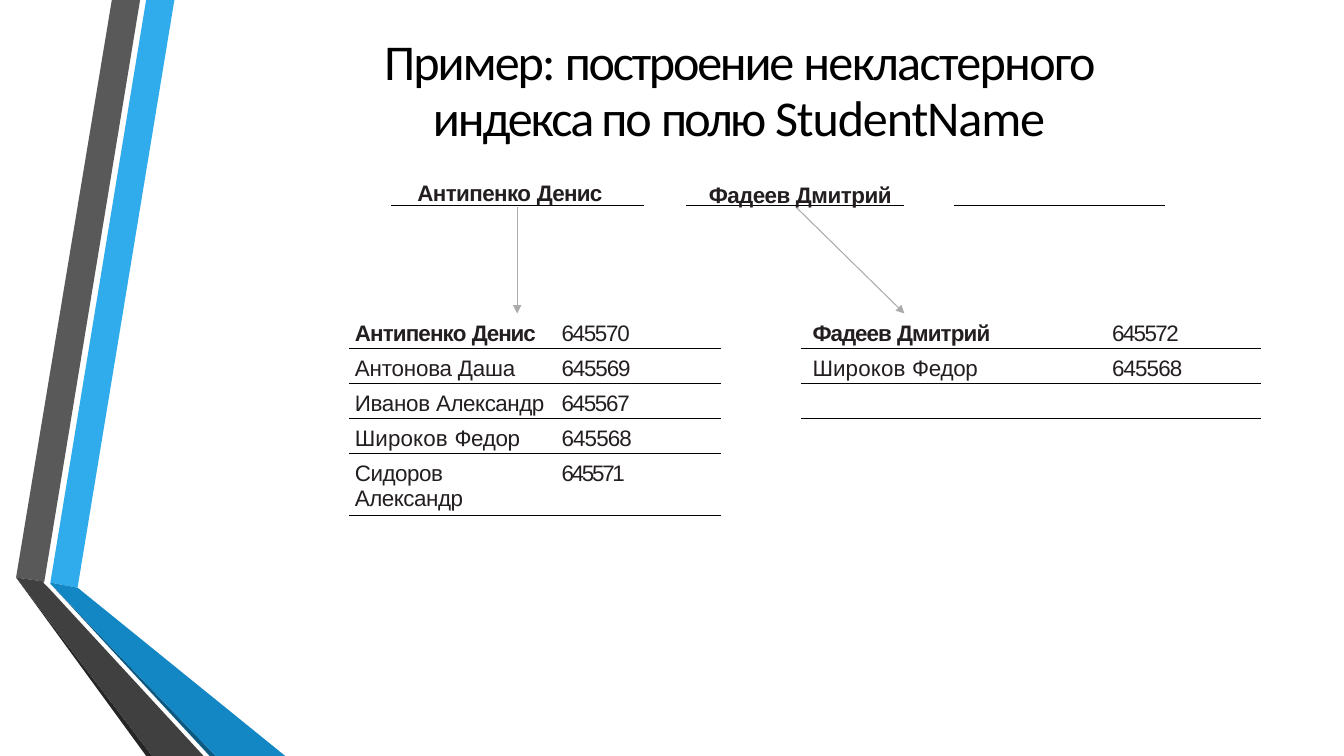
from dataclasses import dataclass
from itertools import product

from lxml.etree import SubElement
from pptx import Presentation
from pptx.dml.color import RGBColor
from pptx.enum.shapes import MSO_CONNECTOR
from pptx.enum.text import MSO_ANCHOR, MSO_AUTO_SIZE, PP_ALIGN
from pptx.oxml.ns import qn
from pptx.util import Inches, Pt

INK, RULE, ARROW = "231E20", "010202", "ABABAB"
PLAIN = {"name": "Arial", "size": Pt(16), "bold": False}
BOLD = PLAIN | {"bold": True}
HEAD = {"name": "Calibri", "size": Pt(35.8), "bold": False}
NO_STYLE = "{2D5ABB26-0587-4C30-8999-92F81FD0307C}"


@dataclass
class Word:
    text: str
    gap: float  # letter spacing in points


@dataclass
class Band:
    color: str
    points: list[tuple[float, float]]


@dataclass
class Line:
    start: tuple[float, float]
    end: tuple[float, float]
    color: str = RULE
    width: float = 0.82
    arrow: bool = False


@dataclass
class Label:
    left: float
    top: float
    width: float
    words: list[Word]


BANDS = [
    Band("30ACEC", [(0.5, 5.78), (0.77, 5.83), (1.73, 0), (1.45, 0)]),
    Band("595959", [(1.39, 0), (1.11, 0), (0.16, 5.73), (0.44, 5.77)]),
    Band("262626", [(0.16, 5.73), (1.45, 7.5), (1.51, 7.5)]),
    Band("0C5A82", [(0.5, 5.79), (2.08, 7.5), (2.14, 7.5)]),
    Band("1287C3", [(0.5, 5.79), (2.14, 7.5), (2.83, 7.5), (0.77, 5.83), (0.5, 5.78)]),
    Band("404040", [(2.02, 7.5), (0.48, 5.83), (0.43, 5.78), (0.44, 5.77),
                    (0.16, 5.73), (1.51, 7.5)]),
]
LINES = [
    Line((3.88, 2.04), (6.39, 2.04)),
    Line((6.8, 2.04), (8.97, 2.04)),
    Line((9.46, 2.04), (11.55, 2.04)),
    Line((5.13, 2.05), (5.13, 3.11), ARROW, 0.75, True),
    Line((7.89, 2.05), (8.97, 3.11), ARROW, 0.75, True),
]
LABELS = [
    Label(4.13, 1.77, 2, [Word("Антипенко ", -0.4), Word("Денис", -0.5)]),
    Label(7.02, 1.79, 2.59, [Word("Фадеев ", -0.4), Word("Дмитрий", -0.3)]),
]
TITLE = [Word("Пример: ", -1.4), Word("построение ", -1.6), Word("некластерного ", -1.2),
         Word("индекса по ", -1.5), Word("полю ", -1.9), Word("StudentName", -0.8)]

# Table columns: width, left indent, number of ruled rows
COLS = [(2.05, 0.06, 5), (1.64, 0.06, 5), (0.8, 0, 0), (2.75, 0.11, 3), (1.81, 0.33, 3)]
FEDOR = [Word("Широков ", 0.1), Word("Федор", -0.2)]
CELLS = {
    (0, 0): [Word("Антипенко ", -0.6), Word("Денис", -0.8)],
    (0, 1): [Word("645570", -0.9)],
    (0, 3): [Word("Фадеев ", -0.7), Word("Дмитрий", -0.6)],
    (0, 4): [Word("645572", -1.1)],
    (1, 0): [Word("Антонова Даша", -0.1)],
    (1, 1): [Word("645569", -0.8)],
    (1, 3): FEDOR,
    (1, 4): [Word("645568", -0.6)],
    (2, 0): [Word("Иванов ", -0.2), Word("Александр", -0.3)],
    (2, 1): [Word("645567", -0.9)],
    (3, 0): FEDOR,
    (3, 1): [Word("645568", -0.6)],
    (4, 0): [Word("Сидоров Александр", -0.3)],
    (4, 1): [Word("645571", -1.6)],
}


def rgb(code: str) -> RGBColor:
    return RGBColor.from_string(code)


def assign(item, values: dict) -> None:
    for name, value in values.items():
        setattr(item, name, value)


def margins(item, top: float) -> None:
    assign(item, {"margin_left": 0, "margin_right": 0, "margin_bottom": 0,
                  "margin_top": Inches(top)})


def write(frame, words: list[Word], style: dict, color: str,
          indent: float, before: float):
    para = frame.paragraphs[0]
    para.space_before = Pt(before)
    props = para._p.get_or_add_pPr()
    props.set("marL", str(Inches(indent)))
    props.set("indent", "0")
    for word in words:
        run = para.add_run()
        run.text = word.text
        assign(run.font, style)
        run.font.color.rgb = rgb(color)
        run._r.get_or_add_rPr().set("spc", str(round(word.gap * 100)))
    return para


def draw_band(shapes, band: Band) -> None:
    first, *rest = [(Inches(x), Inches(y)) for x, y in band.points]
    pen = shapes.build_freeform(*first)
    pen.add_line_segments(rest, close=True)
    shape = pen.convert_to_shape()
    shape.shadow.inherit = False
    shape.fill.solid()
    shape.fill.fore_color.rgb = rgb(band.color)
    shape.line.fill.background()


def draw_line(shapes, line: Line) -> None:
    ends = [Inches(v) for v in (*line.start, *line.end)]
    link = shapes.add_connector(MSO_CONNECTOR.STRAIGHT, *ends)
    link.line.color.rgb = rgb(line.color)
    link.line.width = Pt(line.width)
    if line.arrow:
        SubElement(link.line._get_or_add_ln(), qn("a:tailEnd"), type="triangle")
    SubElement(link._element.spPr, qn("a:effectLst"))


def draw_label(shapes, label: Label) -> None:
    box = shapes.add_textbox(Inches(label.left), Inches(label.top),
                             Inches(label.width), Inches(0.28))
    frame = box.text_frame
    margins(frame, 0.01)
    assign(frame, {"word_wrap": True, "auto_size": MSO_AUTO_SIZE.SHAPE_TO_FIT_TEXT})
    write(frame, label.words, BOLD, INK, 0.01, 0.6)


def rule_cell(cell) -> None:
    edge = SubElement(cell._tc.get_or_add_tcPr(), qn("a:lnB"), w=str(Pt(1)))
    fill = SubElement(edge, qn("a:solidFill"))
    SubElement(fill, qn("a:srgbClr"), val=RULE)


def draw_table(shapes) -> None:
    rows, high = 5, 0.33
    wide = sum(width for width, _, _ in COLS)
    table = shapes.add_table(rows, len(COLS), Inches(3.46), Inches(3.11),
                             Inches(wide), Inches(rows * high)).table
    assign(table, {"first_row": False, "horz_banding": False})
    table._tbl.tblPr.find(qn("a:tableStyleId")).text = NO_STYLE
    for col, (width, _, _) in zip(table.columns, COLS):
        col.width = Inches(width)
    for row in table.rows:
        row.height = Inches(high)
    for row, col in product(range(rows), range(len(COLS))):
        cell = table.cell(row, col)
        _, indent, ruled = COLS[col]
        words = CELLS.get((row, col), [])
        margins(cell, 0.08 if words else 0)
        if words:
            style = BOLD if row == 0 and col in (0, 3) else PLAIN
            write(cell.text_frame, words, style, INK, indent, 9.1)
        if row < ruled:
            rule_cell(cell)
        cell.fill.background()


def draw_title(title) -> None:
    assign(title, {"left": Inches(3.17), "top": Inches(0.26),
                   "width": Inches(8.31), "height": Inches(1.19)})
    frame = title.text_frame
    margins(frame, 0.06)
    assign(frame, {"word_wrap": True, "vertical_anchor": MSO_ANCHOR.BOTTOM,
                   "auto_size": MSO_AUTO_SIZE.SHAPE_TO_FIT_TEXT})
    para = write(frame, TITLE, HEAD, "000000", 0.01, 4.6)
    assign(para, {"alignment": PP_ALIGN.CENTER, "line_spacing": Pt(40)})


def main() -> None:
    deck = Presentation()
    assign(deck, {"slide_width": Inches(13.33), "slide_height": Inches(7.5)})
    slide = deck.slides.add_slide(deck.slide_layouts[5])
    shapes = slide.shapes

    # Side ribbon
    for band in BANDS:
        draw_band(shapes, band)

    # Title and leaf pages of the index
    draw_title(shapes.title)
    draw_table(shapes)

    # Root page with its arrows
    for line in LINES:
        draw_line(shapes, line)
    for label in LABELS:
        draw_label(shapes, label)

    deck.save("out.pptx")


if __name__ == "__main__":
    main()
